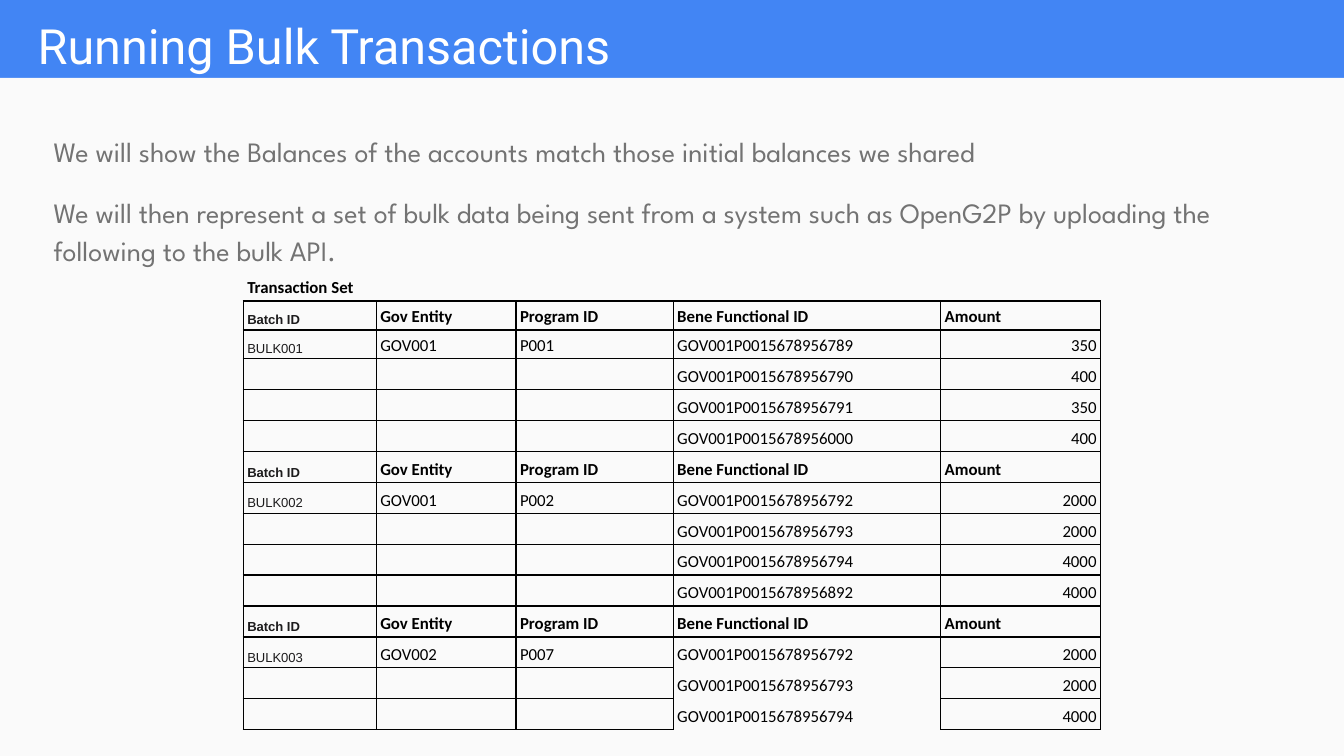
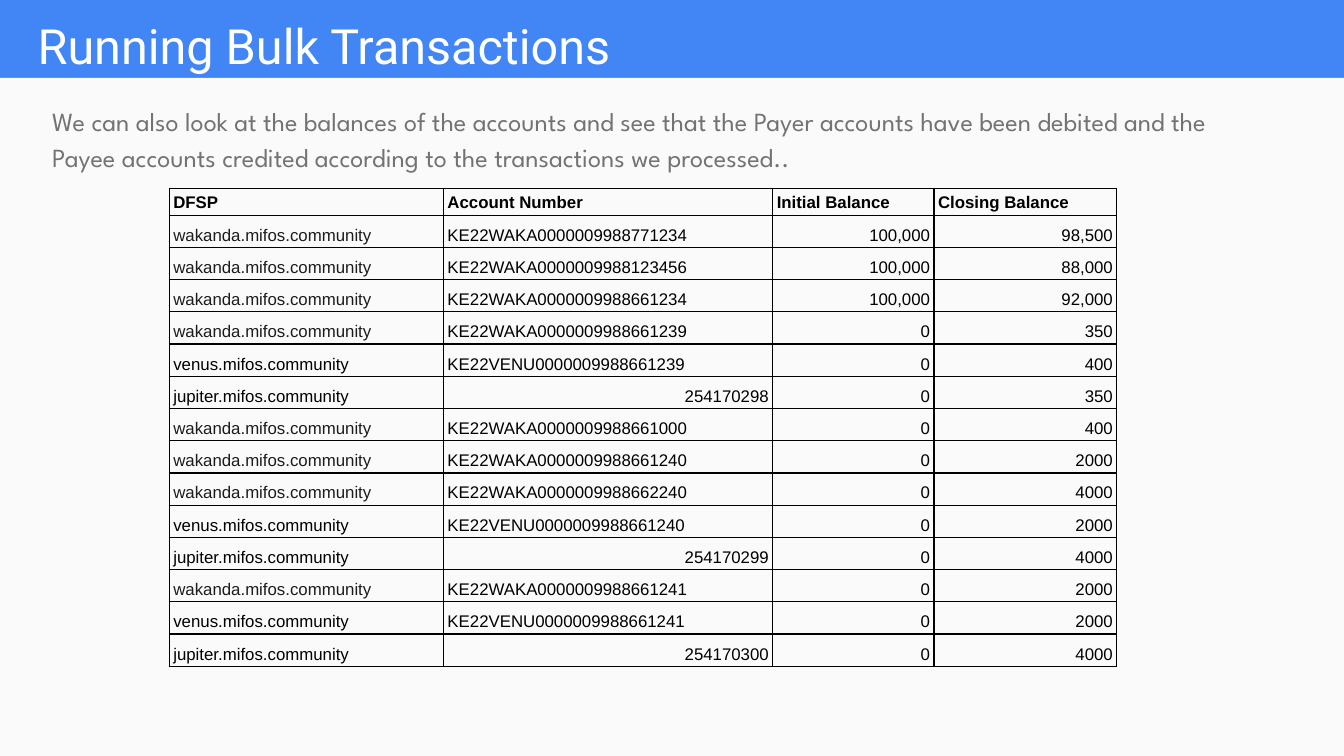
from pptx import Presentation
from pptx.dml.color import RGBColor
from pptx.enum.shapes import MSO_SHAPE
from pptx.enum.text import MSO_ANCHOR, MSO_AUTO_SIZE, PP_ALIGN
from pptx.oxml.ns import qn
from pptx.util import Inches, Pt
from lxml import etree

RECTANGLE = MSO_SHAPE.RECTANGLE
BOTTOM, TOP = MSO_ANCHOR.BOTTOM, MSO_ANCHOR.TOP
LEFT, RIGHT = PP_ALIGN.LEFT, PP_ALIGN.RIGHT
NO_FIT = MSO_AUTO_SIZE.NONE

BLUE = RGBColor(0x42, 0x85, 0xF4)
PAPER = RGBColor(0xFA, 0xFA, 0xFA)
WHITE = RGBColor(0xFF, 0xFF, 0xFF)
GREY = RGBColor(0x73, 0x73, 0x73)
INK = RGBColor(0x1D, 0x1C, 0x1D)
BLACK = RGBColor(0x00, 0x00, 0x00)

GRID = Inches(0.1)
COLUMNS, ROWS = 100, 56.25
BAND_ROWS = 5.8
TITLE_AREA = (1.8, -1.9, 89.9, 8.4)
TITLE = "Running Bulk Transactions"
TITLE_FONT, BODY_FONT = "Roboto", "League Spartan"
TABLE_SIZE = 9
SIDES = {"left": "a:lnL", "right": "a:lnR", "top": "a:lnT", "bottom": "a:lnB"}

BATCH_HEADER = ["Batch ID", "Gov Entity", "Program ID", "Bene Functional ID", "Amount"]
BATCHES = [
    ("BULK001", "GOV001", "P001", [
        ("GOV001P0015678956789", "350"),
        ("GOV001P0015678956790", "400"),
        ("GOV001P0015678956791", "350"),
        ("GOV001P0015678956000", "400"),
    ]),
    ("BULK002", "GOV001", "P002", [
        ("GOV001P0015678956792", "2000"),
        ("GOV001P0015678956793", "2000"),
        ("GOV001P0015678956794", "4000"),
        ("GOV001P0015678956892", "4000"),
    ]),
    ("BULK003", "GOV002", "P007", [
        ("GOV001P0015678956792", "2000"),
        ("GOV001P0015678956793", "2000"),
        ("GOV001P0015678956794", "4000"),
    ]),
]

BALANCE_HEADER = ["DFSP", "Account Number", "Initial Balance", "Closing Balance"]
BALANCES = [
    ("wakanda", "KE22WAKA0000009988771234", "100,000", "98,500"),
    ("wakanda", "KE22WAKA0000009988123456", "100,000", "88,000"),
    ("wakanda", "KE22WAKA0000009988661234", "100,000", "92,000"),
    ("wakanda", "KE22WAKA0000009988661239", "0", "350"),
    ("venus", "KE22VENU0000009988661239", "0", "400"),
    ("jupiter", "254170298", "0", "350"),
    ("wakanda", "KE22WAKA0000009988661000", "0", "400"),
    ("wakanda", "KE22WAKA0000009988661240", "0", "2000"),
    ("wakanda", "KE22WAKA0000009988662240", "0", "4000"),
    ("venus", "KE22VENU0000009988661240", "0", "2000"),
    ("jupiter", "254170299", "0", "4000"),
    ("wakanda", "KE22WAKA0000009988661241", "0", "2000"),
    ("venus", "KE22VENU0000009988661241", "0", "2000"),
    ("jupiter", "254170300", "0", "4000"),
]


def grid(*lengths):
    return [round(length * GRID) for length in lengths]


def write(para, text, font, size, color, bold=False, align=LEFT,
          spacing=None, before=0, after=0):
    para.alignment = align
    para.space_before, para.space_after = Pt(before), Pt(after)
    if spacing:
        para.line_spacing = spacing
    span = para.add_run()
    span.text = text
    span.font.name, span.font.size = font, Pt(size)
    span.font.bold, span.font.color.rgb = bold, color


def set_frame(box, anchor):
    frame = box.text_frame
    frame.word_wrap = True
    frame.auto_size = NO_FIT
    frame.vertical_anchor = anchor
    frame.margin_left = frame.margin_right = GRID
    frame.margin_top = frame.margin_bottom = GRID
    return frame


def add_page(deck):
    page = deck.slides.add_slide(deck.slide_layouts[5])
    panel = page.shapes.add_shape(
        RECTANGLE, *grid(0, BAND_ROWS, COLUMNS, ROWS - BAND_ROWS))
    panel.shadow.inherit = False
    panel.fill.solid()
    panel.fill.fore_color.rgb = PAPER
    panel.line.fill.background()
    page.shapes.element.insert(2, panel.element)

    title = page.shapes.title
    title.left, title.top, title.width, title.height = grid(*TITLE_AREA)
    frame = set_frame(title, BOTTOM)
    write(frame.paragraphs[0], TITLE, TITLE_FONT, 26, WHITE)
    return page


def add_body(page, area, texts, size, after=0):
    box = page.shapes.add_textbox(*grid(*area))
    frame = set_frame(box, TOP)
    for index, text in enumerate(texts):
        para = frame.add_paragraph() if index else frame.paragraphs[0]
        write(para, text, BODY_FONT, size, GREY, spacing=1.15,
              before=12 if index else 0, after=12 if index else after)


def set_borders(cell, shown):
    properties = cell._tc.get_or_add_tcPr()
    for position, (side, tag) in enumerate(SIDES.items()):
        line = etree.Element(qn(tag), w=str(Pt(0.75)))
        if side in shown:
            fill = etree.SubElement(line, qn("a:solidFill"))
            etree.SubElement(fill, qn("a:srgbClr"), val=str(BLACK))
        else:
            etree.SubElement(line, qn("a:noFill"))
        properties.insert(position, line)


def fill_cell(cell, text, shown, **style):
    cell.margin_left = cell.margin_right = Inches(0.03)
    cell.margin_top = cell.margin_bottom = Inches(0.02)
    cell.vertical_anchor = BOTTOM
    cell.fill.background()
    set_borders(cell, shown)
    para = cell.text_frame.paragraphs[0]
    if text:
        is_number = text.replace(",", "").isdigit()
        write(para, text, align=RIGHT if is_number else LEFT, spacing=1.15, **style)
    else:
        etree.SubElement(para._p, qn("a:endParaRPr"), sz=str(TABLE_SIZE * 100))


def add_table(page, corner, widths, heights, records, style_of, borders_of):
    area = grid(*corner, sum(widths), sum(heights))
    table = page.shapes.add_table(len(records), len(widths), *area).table
    table.first_row = table.horz_banding = False
    for column, width in zip(table.columns, grid(*widths)):
        column.width = width
    for row, height in zip(table.rows, grid(*heights)):
        row.height = height
    for row, record in enumerate(records):
        for column, text in enumerate(record):
            fill_cell(table.cell(row, column), text, borders_of(row, column),
                      **style_of(row, column, text))


def batch_records():
    records = [["Transaction Set", "", "", "", ""]]
    for batch, entity, program, payments in BATCHES:
        records.append(BATCH_HEADER)
        for index, payment in enumerate(payments):
            owner = ["", "", ""] if index else [batch, entity, program]
            records.append([*owner, *payment])
    return records


def batch_style(row, column, text):
    bold = row == 0 or text in BATCH_HEADER
    if row and column == 0:
        return dict(font="Arial", size=7, color=INK, bold=bold)
    return dict(font="Calibri", size=TABLE_SIZE, color=BLACK, bold=bold)


def batch_borders(row, column):
    if row == 0:
        return ["bottom"]
    if column == 3 and row >= 12:
        return ["left", "right", "top"] if row == 12 else ["left", "right"]
    return list(SIDES)


def balance_style(row, column, text):
    color = INK if text.startswith("wakanda") else BLACK
    return dict(font="Arial", size=TABLE_SIZE, color=color, bold=row == 0)


def balance_borders(row, column):
    return list(SIDES)


def build_transactions(deck):
    page = add_page(deck)
    add_body(page, (3, 8.6, 89.9, 45.9), [
        "We will show the Balances of the accounts match those initial balances we shared",
        "We will then represent a set of bulk data being sent from a system such as "
        "OpenG2P by uploading the following to the bulk API.",
    ], 15)
    records = batch_records()
    heights = [2.3, 2.15, 2.15] + [2.3] * (len(records) - 3)
    add_table(page, (18.1, 20.1), [9.9, 10.4, 11.7, 19.9, 11.9], heights,
              records, batch_style, batch_borders)


def build_balances(deck):
    page = add_page(deck)
    add_body(page, (2.9, 6.5, 89.9, 45.9), [
        "We can also look at the balances of the accounts and see that the Payer "
        "accounts have been debited and the Payee accounts credited according to "
        "the transactions we processed..",
    ], 14, after=12)
    records = [BALANCE_HEADER]
    records += [[f"{name}.mifos.community", *values] for name, *values in BALANCES]
    heights = [2] + [2.4] * len(BALANCES)
    add_table(page, (12.6, 14), [20.4, 24.5, 12, 13.6], heights,
              records, balance_style, balance_borders)


def main():
    deck = Presentation()
    deck.slide_width, deck.slide_height = grid(COLUMNS, ROWS)
    background = deck.slide_master.background.fill
    background.solid()
    background.fore_color.rgb = BLUE
    build_transactions(deck)
    build_balances(deck)
    deck.save("out.pptx")


if __name__ == "__main__":
    main()
